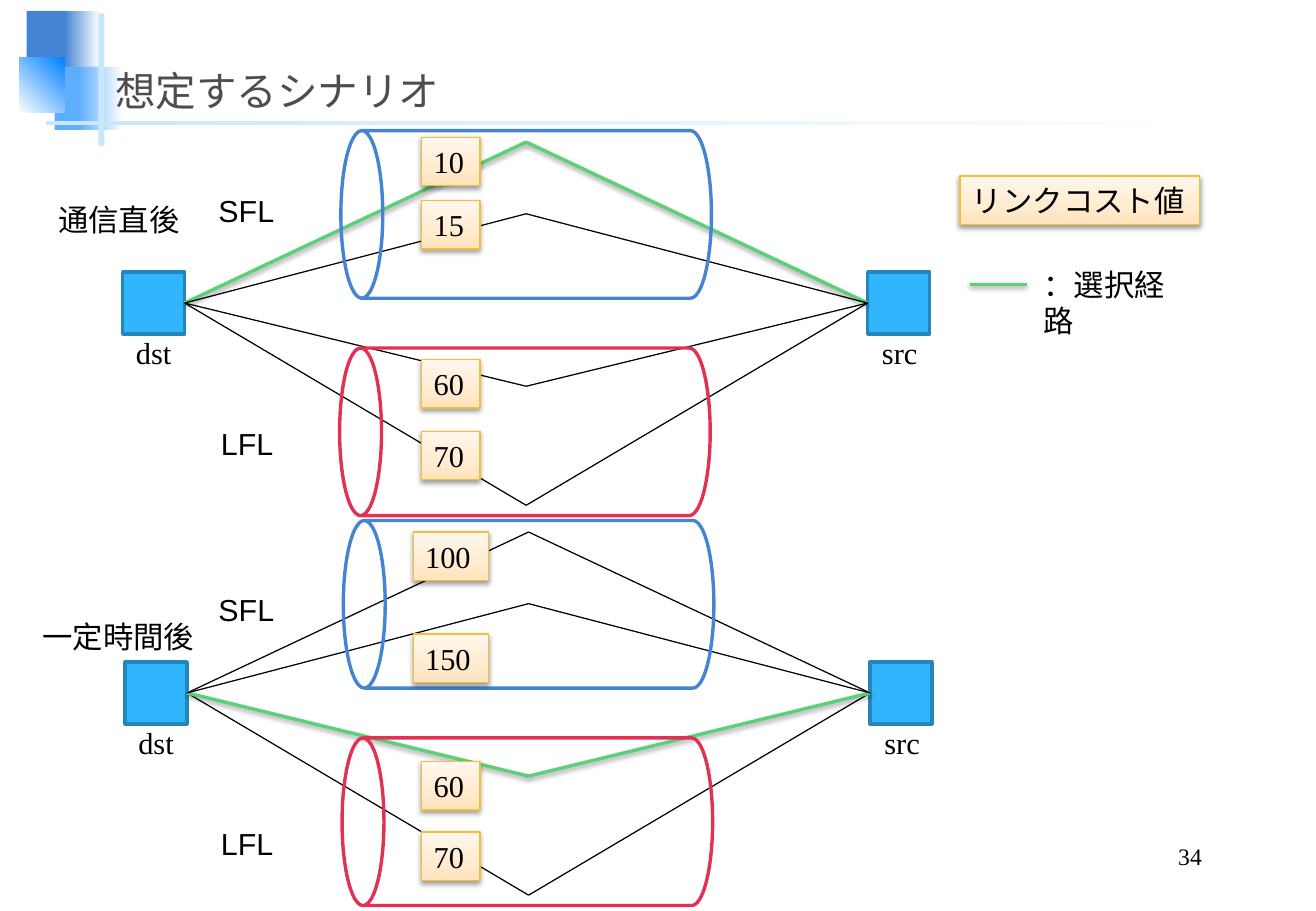
from lxml.etree import SubElement
from pptx import Presentation
from pptx.dml.color import RGBColor
from pptx.enum.shapes import MSO_CONNECTOR, MSO_SHAPE
from pptx.enum.text import MSO_ANCHOR as ANCHOR, MSO_AUTO_SIZE as AUTO_SIZE, PP_ALIGN as ALIGN
from pptx.oxml.ns import qn
from pptx.util import Emu, Pt

EMU_PER_PX = 9144
COLORS = {
    "black": "000000", "white": "FFFFFF", "title": "4D4D4D",
    "blue": "4584D3", "sky": "5EAEFF", "bright": "0080FF", "pale": "C6E7FC",
    "node": "31B6FD", "node_edge": "2487BB",
    "red": "E03253", "green": "5BD078", "gold": "F4BE3A",
    "cream_dark": "FFE3BB", "cream": "FFEBCF", "cream_light": "FFF7ED",
}
CREAM_STOPS = [(0, "cream_dark"), (35, "cream"), (100, "cream_light")]
SERIF, SANS = "Times New Roman", "Arial"


def px(length):
    return Emu(length * EMU_PER_PX)


def rgb(name):
    return RGBColor.from_string(COLORS[name])


def add_soft_shadow(effects):
    shadow = SubElement(effects, qn("a:outerShdw"), blurRad="40000", dist="20000",
                        dir="5400000", rotWithShape="0")
    color = SubElement(shadow, qn("a:srgbClr"), val=COLORS["black"])
    SubElement(color, qn("a:alpha"), val="38000")


class SlideBuilder:
    def __init__(self, slide):
        self.shapes = slide.shapes

    def block(self, left, top, width, height, fill=None, edge=None, edge_width=2,
              kind=MSO_SHAPE.RECTANGLE):
        shape = self.shapes.add_shape(kind, px(left), px(top), px(width), px(height))
        shape.shadow.inherit = False
        if fill:
            shape.fill.solid()
            shape.fill.fore_color.rgb = rgb(fill)
        else:
            shape.fill.background()
        if edge:
            shape.line.color.rgb = rgb(edge)
            shape.line.width = Pt(edge_width)
        else:
            shape.line.fill.background()
        return shape

    def gradient(self, shape, stops, angle=0):
        """Fill with (percent, color) stops; the angle runs counter-clockwise."""
        shape.fill.gradient()
        shape.fill.gradient_angle = angle
        stop_list = shape._element.spPr.find(qn("a:gradFill")).find(qn("a:gsLst"))
        stop_list.clear()
        for percent, name in stops:
            stop = SubElement(stop_list, qn("a:gs"), pos=str(percent * 1000))
            SubElement(stop, qn("a:srgbClr"), val=COLORS[name])

    def set_text(self, shape, text, size=18, font=SERIF, color="black", anchor=ANCHOR.TOP,
                 align=ALIGN.LEFT, wrap=False, grow=True):
        frame = shape.text_frame
        frame.text = text
        frame.word_wrap = wrap
        frame.auto_size = AUTO_SIZE.SHAPE_TO_FIT_TEXT if grow else AUTO_SIZE.NONE
        frame.vertical_anchor = anchor
        paragraph = frame.paragraphs[0]
        paragraph.alignment = align
        run_font = paragraph.runs[0].font
        run_font.name, run_font.size = font, Pt(size)
        run_font.color.rgb = rgb(color)

    def label(self, left, top, width, text, height=40, **style):
        box = self.shapes.add_textbox(px(left), px(top), px(width), px(height))
        self.set_text(box, text, **style)

    def cost(self, left, top, width, text, wrap=False):
        shape = self.block(left, top, width, 40, "cream", "gold", 0.75)
        self.gradient(shape, CREAM_STOPS, 90)
        add_soft_shadow(shape._element.spPr.find(qn("a:effectLst")))
        self.set_text(shape, text, wrap=wrap)

    def link(self, start, end, selected=False):
        line = self.shapes.add_connector(MSO_CONNECTOR.STRAIGHT, *map(px, start + end))
        line.line.color.rgb = rgb("green" if selected else "black")
        line.line.width = Pt(2 if selected else 0.75)
        effects = SubElement(line._element.spPr, qn("a:effectLst"))
        if selected:
            add_soft_shadow(effects)
        return line

    def pipe(self, left, top, edge):
        shape = self.block(left, top, 138, 305, edge=edge, kind=MSO_SHAPE.CAN)
        shape.rotation = 270

    def scenario(self, dx, dy, selected_peak, label_tops, costs):
        """Draw two nodes, the four routes between them, both pipes and the costs."""
        dst, src = [self.block(left + dx, 224 + dy, 51, 51, "node", "node_edge")
                    for left in (101, 714)]
        for peak in (117, 416, 318, 176):
            top = (433 + dx, peak + dy)
            selected = peak == selected_peak
            rise = self.link((152 + dx, 250 + dy), top, selected)
            rise.begin_connect(dst, 3)
            fall = self.link(top, (714 + dx, 250 + dy), selected)
            fall.end_connect(src, 1)
        self.pipe(364 + dx, 24 + dy, "blue")
        self.pipe(363 + dx, 203 + dy, "red")
        self.label(102 + dx, 270 + dy, 50, "dst")
        self.label(716 + dx, 270 + dy, 50, "src")
        for text, left, width, top in zip(("SFL", "LFL"), (170, 172), (66, 64), label_tops):
            self.label(left, top, width, text, font=SANS)
        for text, top in costs:
            width = 48 if len(text) == 2 else 62
            self.cost(371 - width // 2, top, width, text)

    def decoration(self):
        self.block(22, 9, 35, 52, "blue")
        self.gradient(self.block(53, 9, 29, 52), [(0, "blue"), (100, "white")])
        self.block(45, 55, 41, 52, "sky")
        self.gradient(self.block(65, 55, 36, 52), [(0, "sky"), (100, "white")])
        self.gradient(self.block(16, 47, 37, 46), [(0, "white"), (100, "bright")], 45)
        self.block(81, 11, 5, 109, "pale")
        self.gradient(self.block(38, 100, 975, 3), [(0, "pale"), (100, "white")])


def main():
    presentation = Presentation()
    presentation.slide_width, presentation.slide_height = px(1083), px(750)
    builder = SlideBuilder(presentation.slides.add_slide(presentation.slide_layouts[6]))

    builder.decoration()
    builder.label(85, 36, 929, "想定するシナリオ", height=63, size=24, color="title",
                  anchor=ANCHOR.BOTTOM, wrap=True, grow=False)
    builder.label(773, 690, 226, "34", height=31, size=14, anchor=ANCHOR.BOTTOM,
                  align=ALIGN.RIGHT, wrap=True, grow=False)

    builder.scenario(0, 0, 117, (153, 345),
                     [("10", 113), ("15", 165), ("60", 296), ("70", 355)])
    builder.scenario(2, 321, 318, (482, 674),
                     [("100", 438), ("150", 522), ("60", 627), ("70", 685)])
    builder.label(38, 161, 121, "通信直後", font=SANS)
    builder.label(25, 504, 146, "一定時間後", font=SANS)

    builder.cost(790, 145, 197, "リンクコスト値", wrap=True)
    builder.link((798, 234), (845, 234), selected=True)
    builder.label(849, 214, 134, "：選択経路", font=SANS, wrap=True)
    presentation.save("out.pptx")


if __name__ == "__main__":
    main()
